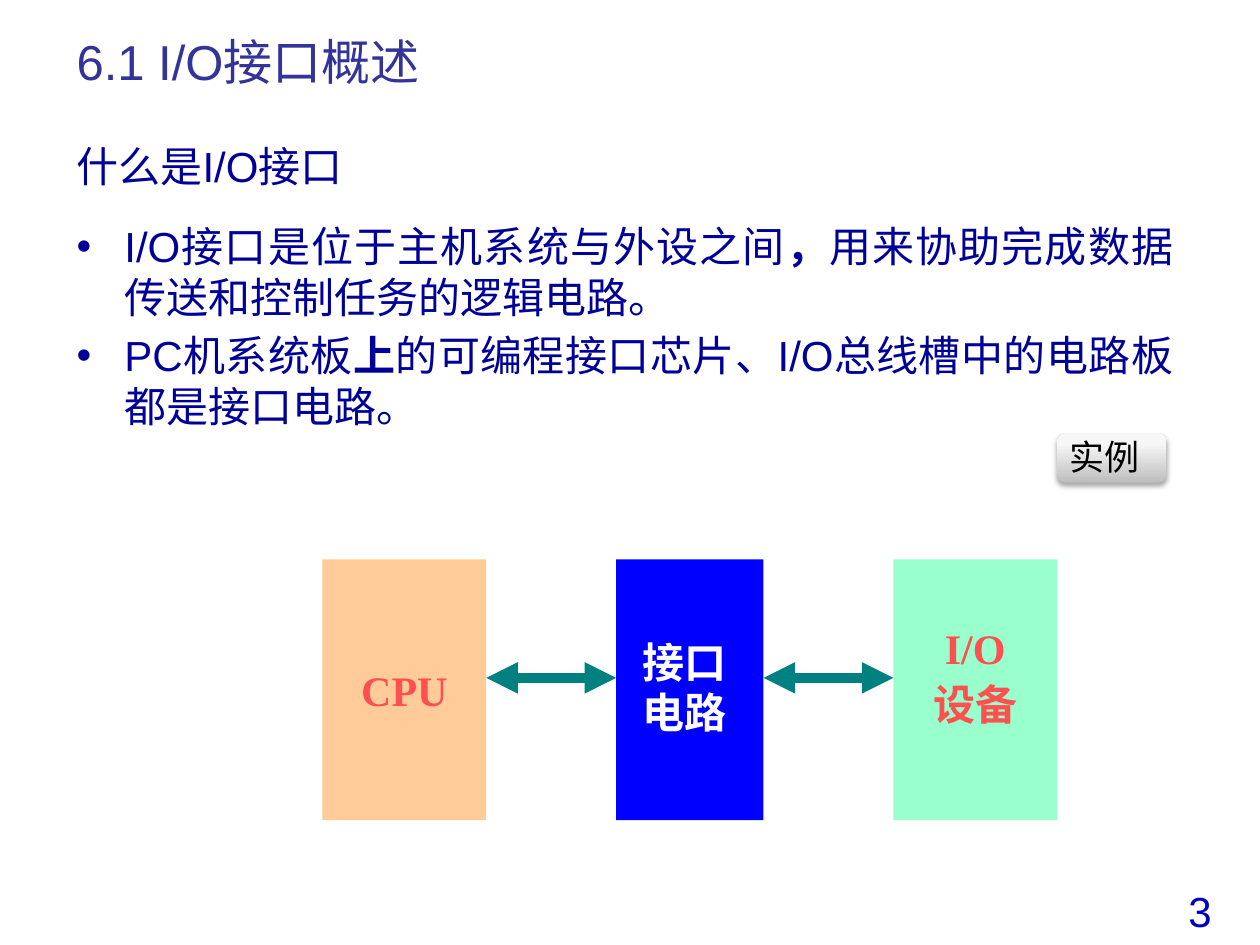
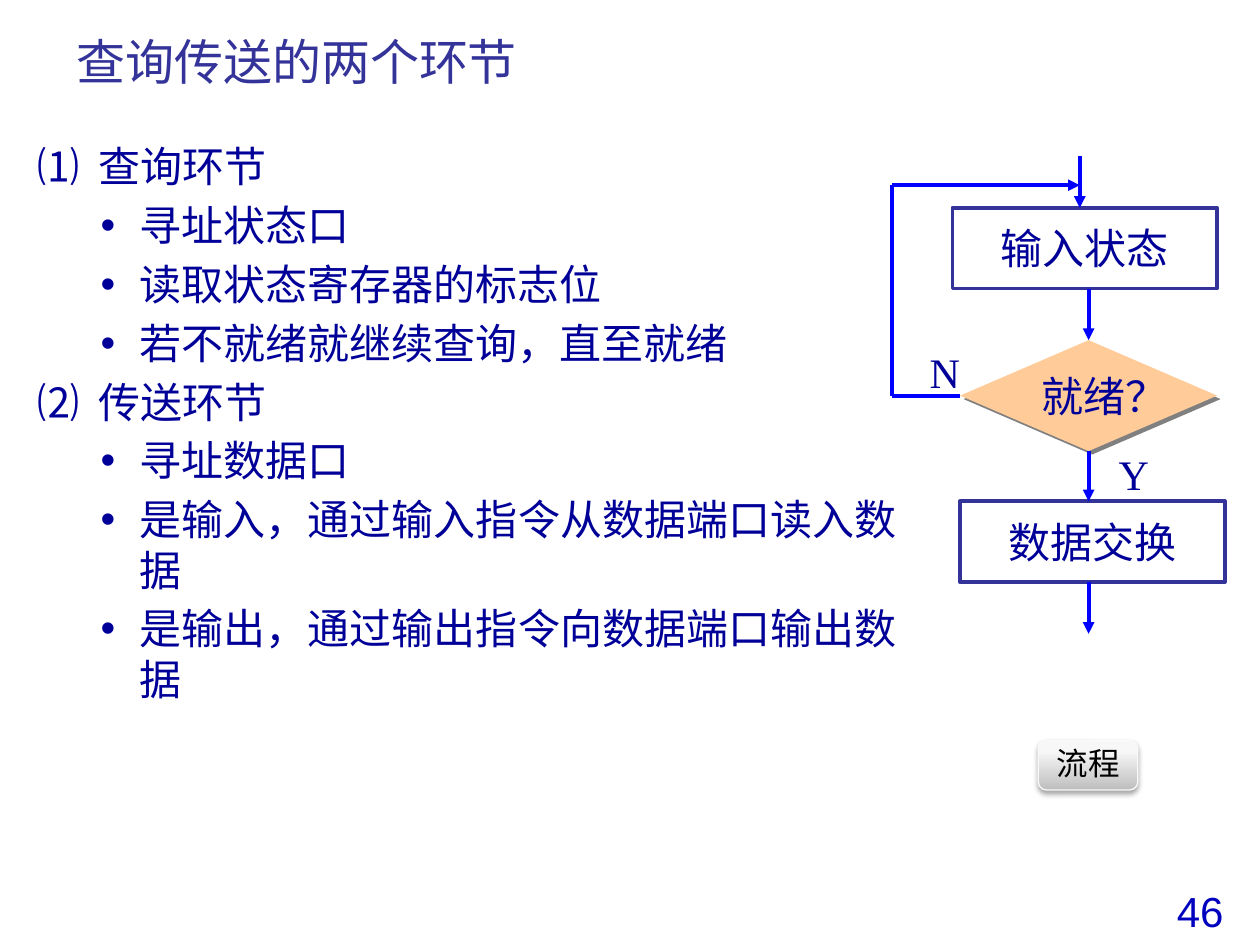
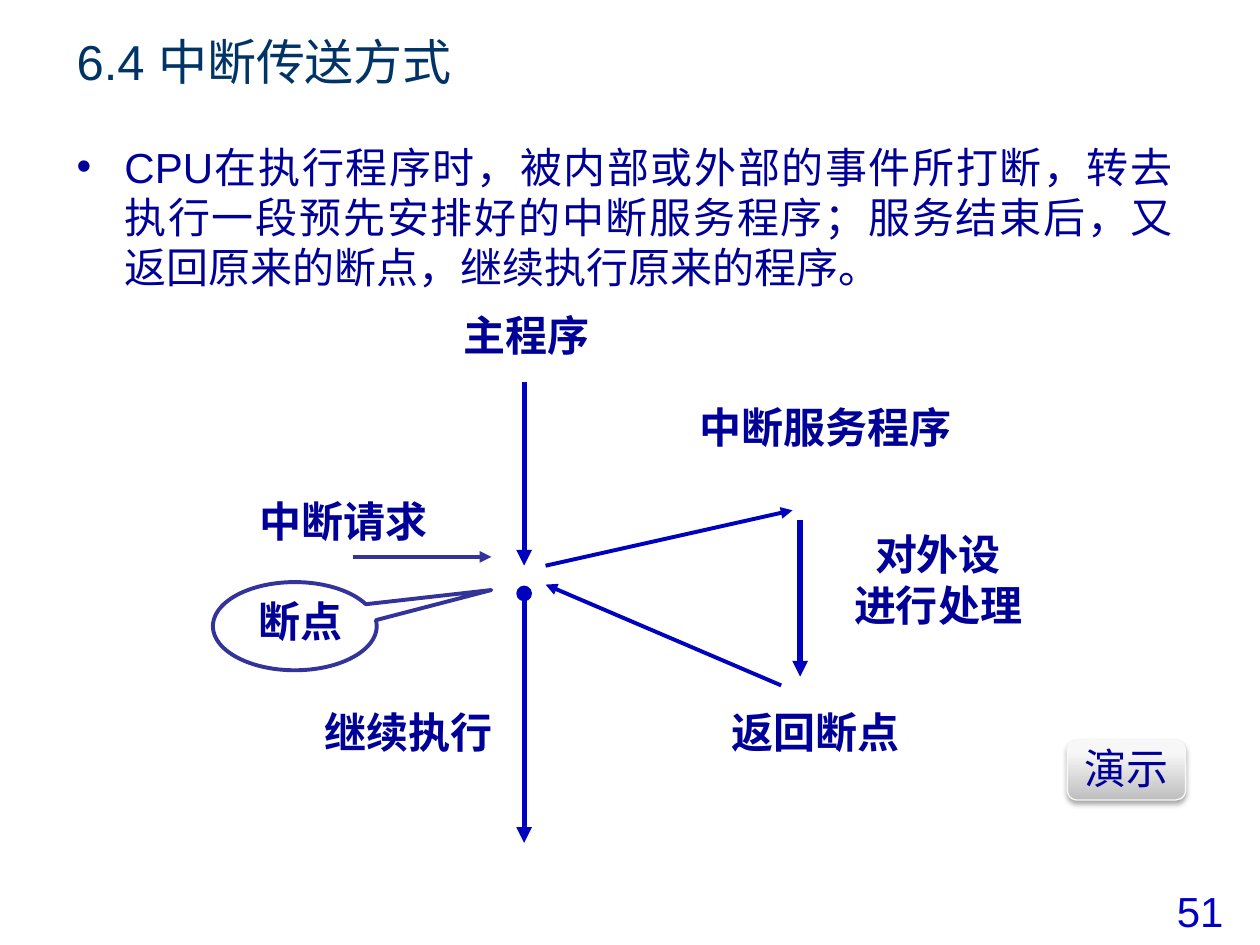
"""Build three slides on I/O interfaces, polling and interrupt transfer."""
from lxml.etree import SubElement
from pptx import Presentation
from pptx.dml.color import RGBColor
from pptx.enum.shapes import MSO_CONNECTOR, MSO_SHAPE
from pptx.enum.text import MSO_ANCHOR, PP_ALIGN
from pptx.oxml.ns import qn
from pptx.util import Inches, Pt

INDIGO = RGBColor(0x33, 0x33, 0x99)
DEEP_TEAL = RGBColor(0x00, 0x33, 0x66)
NAVY = RGBColor(0x00, 0x00, 0x99)
MEDIUM_BLUE = RGBColor(0x00, 0x00, 0xBF)
BLUE = RGBColor(0x00, 0x00, 0xFF)
TEAL = RGBColor(0x00, 0x80, 0x80)
PEACH = RGBColor(0xFF, 0xCC, 0x99)
MINT = RGBColor(0x99, 0xFF, 0xCC)
CORAL = RGBColor(0xFF, 0x50, 0x50)
WHITE = RGBColor(0xFF, 0xFF, 0xFF)
BLACK = RGBColor(0x00, 0x00, 0x00)
BUTTON_DARK = RGBColor(0xBE, 0xBE, 0xBE)
BUTTON_LIGHT = RGBColor(0xF7, 0xF7, 0xF7)
BUTTON_EDGE = RGBColor(0xF9, 0xF9, 0xF9)

SANS, SERIF, CHINESE = "Arial", "Times New Roman", "Noto Sans CJK SC"
INSETS = (0.1, 0.05, 0.1, 0.05)

PARAGRAPH_STYLES = {
    "heading": {"left": 0.38, "hang": 0.38, "after": 12},
    "bullet": {"left": 0.38, "hang": 0.38, "bullet": "•"},
    "step": {"left": 0.48, "hang": 0.48},
    "detail": {"left": 0.81, "hang": 0.31, "bullet": "•"},
}

OVERVIEW = [
    ("heading", "什么是I/O接口"),
    ("bullet", "I/O接口是位于主机系统与外设之间|，|用来协助完成数据传送和控制任务的逻辑电路。"),
    ("bullet", "PC机系统板|上|的可编程接口芯片、I/O总线槽中的电路板都是接口电路。"),
]
BLOCKS = [
    (2.56, 1.3, PEACH, CORAL, ["CPU"], INSETS),
    (4.89, 1.17, BLUE, WHITE, ["接口", "电路"], (0.02, 0, 0.1, 0.05)),
    (7.09, 1.3, MINT, CORAL, [], INSETS),
]
POLLING = [
    ("step", "⑴\t查询环节"),
    ("detail", "寻址状态口"),
    ("detail", "读取状态寄存器的标志位"),
    ("detail", "若不就绪就继续查询，直至就绪"),
    ("step", "⑵\t传送环节"),
    ("detail", "寻址数据口"),
    ("detail", "是输入，通过输入指令从数据端口读入数据"),
    ("detail", "是输出，通过输出指令向数据端口输出数据"),
]
FLOW_BOXES = [("输入状态", 7.56, 1.65), ("数据交换", 7.62, 3.98)]
FLOW_LABELS = [("Y", 8.78, 3.51), ("N", 7.28, 2.7)]
INTERRUPT = [
    ("bullet", "CPU在执行程序时，被内部或外部的事件所打断，转去执行一段预先安排好的"
               "中断服务程序；服务结束后，又返回原来的断点，继续执行原来的程序。"),
]
INTERRUPT_LABELS = [
    (["断点"], (1.95, 4.68, 0.87, 0.5)),
    (["主程序"], (3.57, 2.41, 1.21, 0.5)),
    (["中断服务程序"], (5.45, 3.14, 2.21, 0.5)),
    (["中断请求"], (1.96, 3.88, 1.54, 0.5)),
    (["对外设", "进行处理"], (6.66, 4.14, 1.57, 0.91)),
    (["继续执行"], (2.47, 5.56, 1.54, 0.5)),
    (["返回断点"], (5.7, 5.56, 1.54, 0.5)),
]
INTERRUPT_ARROWS = [
    ((4.16, 3.03), (4.16, 4.49), MEDIUM_BLUE, 3, None),
    ((4.16, 4.71), (4.16, 6.69), MEDIUM_BLUE, 3, "oval"),
    ((6.35, 4.13), (6.35, 5.37), MEDIUM_BLUE, 3, None),
    ((2.8, 4.42), (3.9, 4.42), INDIGO, 2.25, None),
    ((4.33, 4.49), (6.29, 4.05), MEDIUM_BLUE, 2.25, None),
    ((6.2, 5.44), (4.33, 4.64), MEDIUM_BLUE, 2.25, None),
]


def format_paragraph(paragraph, style):
    """Apply indents, a bullet and spacing from a named style."""
    properties = paragraph._p.get_or_add_pPr()
    properties.set("marL", str(Inches(style["left"])))
    properties.set("indent", str(-Inches(style["hang"])))
    if "bullet" in style:
        SubElement(properties, qn("a:buFont"), typeface=SANS)
        SubElement(properties, qn("a:buChar"), char=style["bullet"])
    paragraph.space_after = Pt(style.get("after", 0))


def write(shape, lines, size=24, color=NAVY, font=SANS, bold=False, align=PP_ALIGN.CENTER,
          anchor=MSO_ANCHOR.MIDDLE, insets=INSETS, wrap=False, before=0, spacing=None):
    """Fill a shape with lines; an item is text or (style name, text), bars enclose bold text."""
    frame = shape.text_frame
    frame.word_wrap = wrap
    frame.vertical_anchor = anchor
    for side, inset in zip(("left", "top", "right", "bottom"), insets):
        setattr(frame, f"margin_{side}", Inches(inset))
    for index, line in enumerate(lines):
        paragraph = frame.add_paragraph() if index else frame.paragraphs[0]
        style, text = line if isinstance(line, tuple) else (None, line)
        if style:
            format_paragraph(paragraph, PARAGRAPH_STYLES[style])
        paragraph.alignment = align
        if index and before:
            paragraph.space_before = Pt(before)
        if spacing:
            paragraph.line_spacing = spacing
        for part_index, part in enumerate(text.split("|")):
            run = paragraph.add_run()
            run.text = part
            formats = {"size": Pt(size), "name": font, "bold": bold or part_index % 2 == 1}
            for name, value in formats.items():
                setattr(run.font, name, value)
            run.font.color.rgb = color
            SubElement(run._r.get_or_add_rPr(), qn("a:ea"), typeface=CHINESE)


def add_text(slide, place, lines, **formats):
    """Add a text box."""
    write(slide.shapes.add_textbox(*map(Inches, place)), lines, **formats)


def add_figure(slide, kind, place, fill=None, line=None, width=2.25):
    """Add a preset shape without a shadow."""
    shape = slide.shapes.add_shape(kind, *map(Inches, place))
    shape.shadow.inherit = False
    if fill is None:
        shape.fill.background()
    else:
        shape.fill.solid()
        shape.fill.fore_color.rgb = fill
    if line is None:
        shape.line.fill.background()
    else:
        shape.line.color.rgb = line
        shape.line.width = Pt(width)
    return shape


def add_shadow(shape, color, opacity, blur, distance, angle):
    """Give a shape an outer shadow."""
    effects = shape._element.spPr.find(qn("a:effectLst"))
    shadow = SubElement(effects, qn("a:outerShdw"), blurRad=str(Pt(blur)), dist=str(Pt(distance)),
                        dir=str(angle * 60000), algn="ctr", rotWithShape="0")
    tint = SubElement(shadow, qn("a:srgbClr"), val=color)
    SubElement(tint, qn("a:alpha"), val=str(opacity * 1000))


def add_line(slide, start, end, color, width=2.25, head=None, tail="triangle"):
    """Add a straight connector with optional ends."""
    points = [Inches(value) for value in (*start, *end)]
    connector = slide.shapes.add_connector(MSO_CONNECTOR.STRAIGHT, *points)
    connector.line.color.rgb = color
    connector.line.width = Pt(width)
    outline = connector.line._get_or_add_ln()
    for tag, kind in (("a:headEnd", head), ("a:tailEnd", tail)):
        if kind:
            SubElement(outline, qn(tag), type=kind)
    SubElement(connector._element.spPr, qn("a:effectLst"))
    return connector


def add_button(slide, text, place, line=BUTTON_EDGE, **formats):
    """Add a raised grey button."""
    button = add_figure(slide, MSO_SHAPE.ROUNDED_RECTANGLE, place, WHITE, line, 0.75)
    button.fill.gradient()
    button.fill.gradient_angle = 90
    stops = button.fill.gradient_stops
    for stop, color, position in zip(stops, (BUTTON_DARK, BUTTON_LIGHT), (0, 0.8)):
        stop.color.rgb = color
        stop.position = position
    add_shadow(button, "000000", 35, 3.1, 1.8, 90)
    write(button, [text], font=CHINESE, anchor=MSO_ANCHOR.TOP, **formats)


def add_slide(presentation, title, number, body, place, title_color=INDIGO, body_font=SANS):
    """Add a slide with title, body text and page number."""
    slide = presentation.slides.add_slide(presentation.slide_layouts[6])
    add_text(slide, (9.17, 6.98, 0.71, 0.5), [number], color=MEDIUM_BLUE, anchor=MSO_ANCHOR.TOP)
    add_text(slide, (0.51, 0.21, 8.43, 0.55), [title], size=28, color=title_color,
             align=PP_ALIGN.LEFT, wrap=True)
    add_text(slide, place, body, font=body_font, align=PP_ALIGN.JUSTIFY,
             anchor=MSO_ANCHOR.TOP, wrap=True, before=4.8)
    return slide


def build_overview(presentation):
    """Show the interface between processor and device."""
    slide = add_slide(presentation, "6.1 I/O接口概述", "3", OVERVIEW, (0.51, 1.07, 8.9, 2.76))
    for left, width, fill, color, lines, insets in BLOCKS:
        block = add_figure(slide, MSO_SHAPE.RECTANGLE, (left, 4.44, width, 2.07), fill)
        write(block, lines, color=color, font=SERIF, bold=True, insets=insets)
    add_text(slide, (7.09, 5, 1.3, 0.86), ["I/O", "设备"], color=CORAL, font=SERIF, bold=True,
             anchor=MSO_ANCHOR.TOP, wrap=True, before=12, spacing=0.7)
    for (left, width, *_), (next_left, *_) in zip(BLOCKS, BLOCKS[1:]):
        add_line(slide, (left + width, 5.38), (next_left, 5.38), TEAL, 6, head="triangle")
    add_button(slide, "实例", (8.39, 3.44, 0.87, 0.39), line=None, size=20, color=BLACK,
               align=PP_ALIGN.LEFT, insets=(0.08, 0, 0, 0))


def build_polling(presentation):
    """Show the polling steps and their flow chart."""
    slide = add_slide(presentation, "查询传送的两个环节", "46", POLLING, (0.2, 1.07, 7.01, 5.67),
                      body_font=SERIF)
    for text, left, top in FLOW_BOXES:
        box = add_figure(slide, MSO_SHAPE.RECTANGLE, (left, top, 2.1, 0.64), line=INDIGO)
        write(box, [text], font=SERIF)
    decision = add_figure(slide, MSO_SHAPE.DIAMOND, (7.62, 2.7, 2.04, 0.88), PEACH)
    add_shadow(decision, "808080", 100, 0, 2.8, 45)
    write(decision, ["就绪？"], font=SERIF, insets=(0.35, 0.05, 0.1, 0.05))
    add_line(slide, (8.57, 1.24), (8.57, 1.65), BLUE)
    add_line(slide, (8.64, 2.29), (8.64, 2.7), BLUE).end_connect(decision, 0)
    add_line(slide, (8.64, 3.58), (8.64, 3.98), BLUE).begin_connect(decision, 2)
    add_line(slide, (8.64, 4.62), (8.64, 5.03), BLUE)
    add_line(slide, (7.62, 3.14), (7.08, 3.14), BLUE, tail=None).begin_connect(decision, 1)
    add_line(slide, (7.08, 3.14), (7.08, 1.47), BLUE, tail=None)
    add_line(slide, (7.08, 1.47), (8.57, 1.47), BLUE)
    for text, left, top in FLOW_LABELS:
        add_text(slide, (left, top, 0.68, 0.5), [text], font=SERIF, align=PP_ALIGN.LEFT,
                 anchor=MSO_ANCHOR.TOP, wrap=True)
    add_button(slide, "流程", (8.24, 5.88, 0.79, 0.39), size=18, color=BLACK, spacing=0.85)


def build_interrupt(presentation):
    """Show how an interrupt leaves and resumes the main program."""
    slide = add_slide(presentation, "6.4 中断传送方式", "51", INTERRUPT, (0.51, 1.07, 8.9, 1.32),
                      title_color=DEEP_TEAL)
    for start, end, color, width, head in INTERRUPT_ARROWS:
        add_line(slide, start, end, color, width, head)
    callout = add_figure(slide, MSO_SHAPE.OVAL_CALLOUT, (1.69, 4.62, 1.3, 0.7), line=INDIGO)
    callout.adjustments[0] = 1.2
    callout.adjustments[1] = -0.41
    for lines, place in INTERRUPT_LABELS:
        add_text(slide, place, lines, bold=True)
    add_button(slide, "演示", (8.47, 5.88, 0.94, 0.47), spacing=0.85)


def main():
    """Build and save the presentation."""
    presentation = Presentation()
    presentation.slide_width = Inches(10)
    presentation.slide_height = Inches(7.5)
    for build in (build_overview, build_polling, build_interrupt):
        build(presentation)
    presentation.save("out.pptx")


if __name__ == "__main__":
    main()
